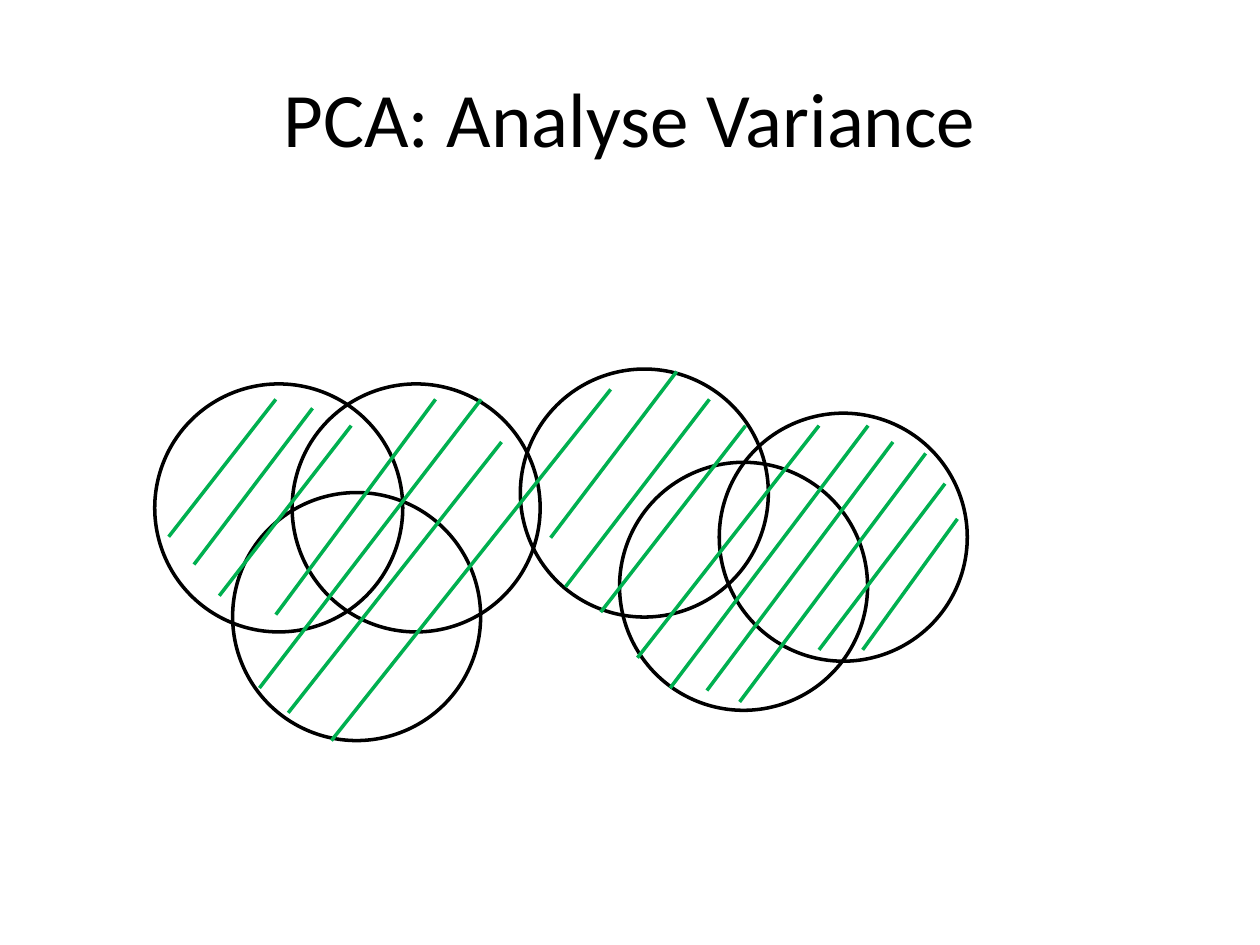
import pptx
import pptx.dml.color
import pptx.enum.shapes
import pptx.enum.text
import pptx.oxml.ns
import pptx.util
from lxml import etree

Cm, Pt = pptx.util.Cm, pptx.util.Pt

COLORS = {"text": "000000", "circle": "000000", "hatch": "00B050"}
LINE_WIDTH = Pt(2)
DIAMETER = 5

# Left and top of each variable's circle, in cm within the diagram
CIRCLES = [
    (2.77, 0.3), (0, 0.3), (1.57, 2.49),
    (7.37, 0), (9.37, 1.88), (11.38, 0.89),
]

# Upper right and lower left end of each variance stroke, in cm
STROKES = [
    # left cluster
    (2.44, 0.61, 0.28, 3.38),
    (3.18, 0.79, 0.79, 3.94),
    (3.96, 1.14, 1.3, 4.57),
    (5.66, 0.61, 2.44, 4.95),
    (6.58, 0.61, 2.11, 6.43),
    (6.99, 1.47, 2.69, 6.93),
    (9.19, 0.41, 3.56, 7.49),
    # right cluster
    (10.52, 0.05, 7.98, 3.4),
    (11.18, 0.61, 8.28, 4.39),
    (11.91, 1.14, 8.99, 4.9),
    (13.39, 1.14, 9.73, 5.82),
    (14.38, 1.14, 10.39, 6.43),
    (14.88, 1.47, 11.13, 6.48),
    (15.54, 1.7, 11.79, 6.71),
    (15.93, 2.31, 13.39, 5.66),
    (16.18, 3.02, 14.27, 5.66),
]


def rgb(name):
    return pptx.dml.color.RGBColor.from_string(COLORS[name])


def style_line(line, color):
    line.color.rgb = rgb(color)
    line.width = LINE_WIDTH


def add_title(slide, left, top, width, height, wording):
    title = slide.shapes.add_textbox(Cm(left), Cm(top), Cm(width), Cm(height))
    frame = title.text_frame
    frame.word_wrap = True
    frame.vertical_anchor = pptx.enum.text.MSO_ANCHOR.MIDDLE
    frame.text = wording
    paragraph = frame.paragraphs[0]
    paragraph.alignment = pptx.enum.text.PP_ALIGN.CENTER
    font = paragraph.runs[0].font
    font.name = "Calibri"
    font.size = Pt(44)
    font.color.rgb = rgb("text")


def add_variance_diagram(slide, left, top):
    # Overlapping circles, one per variable
    for x, y in CIRCLES:
        circle = slide.shapes.add_shape(
            pptx.enum.shapes.MSO_SHAPE.OVAL,
            Cm(left + x), Cm(top + y), Cm(DIAMETER), Cm(DIAMETER))
        circle.shadow.inherit = False
        circle.fill.background()
        style_line(circle.line, "circle")

    # Hatching over the total variance
    for x1, y1, x2, y2 in STROKES:
        stroke = slide.shapes.add_connector(
            pptx.enum.shapes.MSO_CONNECTOR.STRAIGHT,
            Cm(left + x1), Cm(top + y1), Cm(left + x2), Cm(top + y2))
        style_line(stroke.line, "hatch")
        etree.SubElement(stroke._element.spPr, pptx.oxml.ns.qn("a:effectLst"))


def main():
    deck = pptx.Presentation()
    deck.slide_width, deck.slide_height = Cm(25.4), Cm(19.05)
    slide = deck.slides.add_slide(deck.slide_layouts[6])
    add_title(slide, 1.27, 0.76, 22.86, 3.18, "PCA: Analyse Variance")
    add_variance_diagram(slide, 3.12, 7.44)
    deck.save("out.pptx")


if __name__ == "__main__":
    main()
